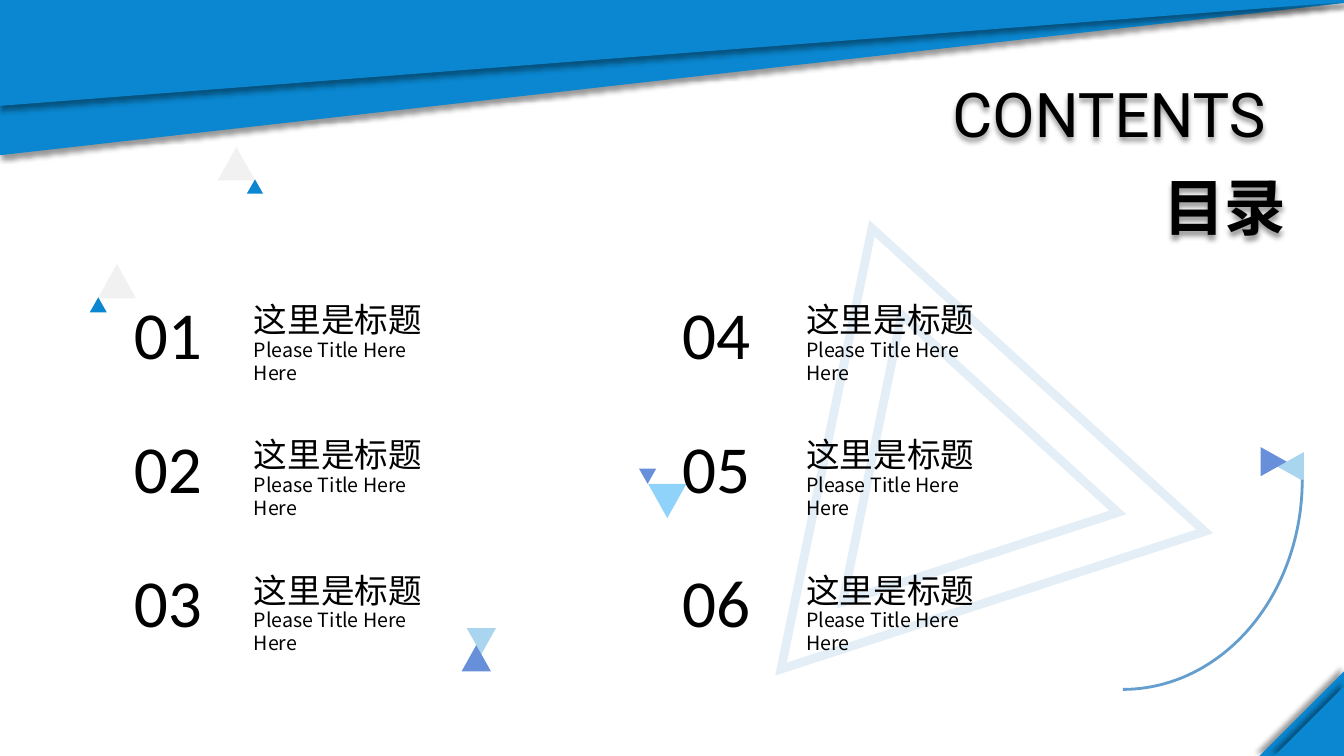
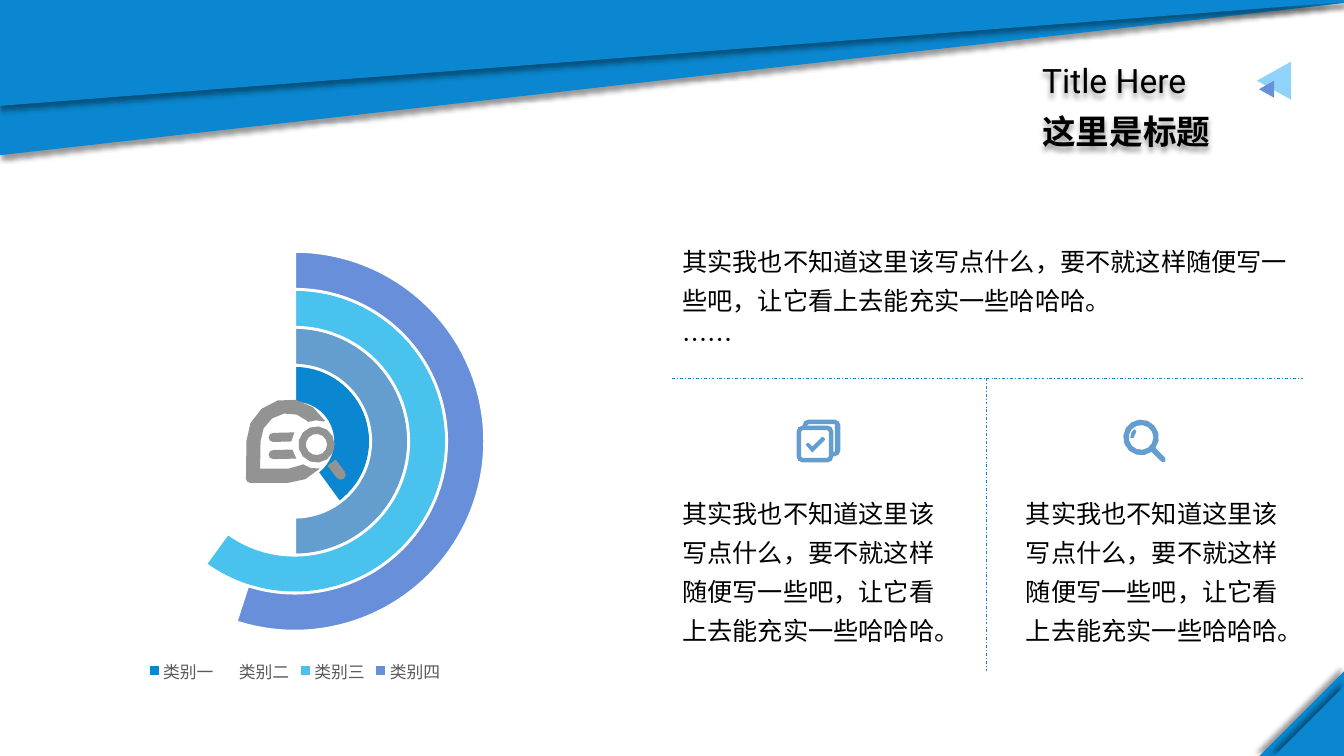
from math import cos, radians, sin

from lxml.etree import SubElement
from pptx import Presentation
from pptx.chart.data import CategoryChartData
from pptx.dml.color import RGBColor
from pptx.enum.chart import XL_CHART_TYPE as ChartType, XL_LEGEND_POSITION as LegendPosition
from pptx.enum.dml import MSO_LINE as LineDash
from pptx.enum.shapes import MSO_CONNECTOR as Connector, MSO_SHAPE as ShapeKind
from pptx.enum.text import MSO_ANCHOR as Anchor, MSO_AUTO_SIZE as AutoSize, PP_ALIGN as Align
from pptx.oxml.ns import qn
from pptx.util import Inches, Pt

SLIDE_WIDTH, SLIDE_HEIGHT = 40 / 3, 7.5

BLUE = RGBColor(0x0A, 0x87, 0xD0)
STEEL = RGBColor(0x63, 0x9E, 0xCE)
CYAN = RGBColor(0x49, 0xC2, 0xED)
VIOLET = RGBColor(0x68, 0x8F, 0xD9)
SKY = RGBColor(0x90, 0xD3, 0xFA)
PALE = RGBColor(0xF1, 0xF1, 0xF1)
GRAY = RGBColor(0x93, 0x93, 0x93)
LEGEND_GRAY = RGBColor(0x59, 0x59, 0x59)
BLACK = RGBColor(0, 0, 0)
WHITE = RGBColor(0xFF, 0xFF, 0xFF)

CJK = "Noto Sans CJK SC"
ROBOTO = "Roboto"
BODY = "其实我也不知道这里该写点什么，要不就这样随便写一些吧，让它看上去能充实一些哈哈哈。"
HEADING = "这里是标题"


def inches(*lengths):
    return [Inches(length) for length in lengths]


def set_alpha(fill_parent, percent):
    color = fill_parent.find(".//" + qn("a:srgbClr"))
    SubElement(color, qn("a:alpha"), val=str(percent * 1000))


def cast_shadow(shape, direction):
    shape.shadow.inherit = False
    effects = shape.element.spPr.find(qn("a:effectLst"))
    shadow = SubElement(effects, qn("a:outerShdw"), blurRad=str(Pt(4)), dist=str(Pt(3)),
                        dir=str(direction * 60000), algn="ctr", rotWithShape="0")
    color = SubElement(shadow, qn("a:srgbClr"), val="000000")
    SubElement(color, qn("a:alpha"), val="40000")


def add_filled(slide, kind, box, color, rotation=0, alpha=None):
    shape = slide.shapes.add_shape(kind, *inches(*box))
    shape.rotation = rotation
    shape.shadow.inherit = False
    shape.fill.solid()
    shape.fill.fore_color.rgb = color
    shape.line.fill.background()
    if alpha:
        set_alpha(shape.element.spPr.find(qn("a:solidFill")), alpha)
    return shape


def add_outline(slide, kind, box, width, rotation=0):
    shape = slide.shapes.add_shape(kind, *inches(*box))
    shape.rotation = rotation
    shape.shadow.inherit = False
    shape.fill.background()
    shape.line.color.rgb = STEEL
    shape.line.width = Pt(width)
    return shape


def write(shape, texts, size, font, bold=False, align=Align.LEFT, spacing=None):
    frame = shape.text_frame
    frame.word_wrap = True
    frame.auto_size = AutoSize.NONE
    frame.vertical_anchor = Anchor.TOP
    for index, text in enumerate(texts):
        paragraph = frame.add_paragraph() if index else frame.paragraphs[0]
        paragraph.alignment = align
        if spacing:
            paragraph.line_spacing = spacing
        run = paragraph.add_run()
        run.text = text
        run.font.size = Pt(size)
        run.font.bold = bold
        run.font.color.rgb = BLACK
        run.font.name = font
        SubElement(run.font._element, qn("a:ea"), typeface=font)


def add_text(slide, box, texts, size, font, **style):
    shape = slide.shapes.add_textbox(*inches(*box))
    write(shape, texts, size, font, **style)
    return shape


def add_titles(slide, english_box, english, chinese_box, chinese, size):
    label = add_text(slide, english_box, [english], size, ROBOTO)
    cast_shadow(label, 90)
    title = slide.shapes.title
    title.left, title.top, title.width, title.height = inches(*chinese_box)
    write(title, [chinese], size, CJK, bold=True, align=Align.JUSTIFY)
    cast_shadow(title, 90)


def add_bands(slide):
    span = 13.6
    for height in (1.54, 1.05):
        offset = (span - height) / 2
        band = add_filled(slide, ShapeKind.RIGHT_TRIANGLE, (offset, -offset, height, span), BLUE, 90)
        cast_shadow(band, 90)
    for side in (0.84, 0.69):
        corner = add_filled(slide, ShapeKind.RIGHT_TRIANGLE,
                            (SLIDE_WIDTH - side, SLIDE_HEIGHT - side, side, side), BLUE, 270)
        cast_shadow(corner, 225)


def add_triangles(slide, triangles):
    for box, color, rotation, alpha in triangles:
        add_filled(slide, ShapeKind.ISOSCELES_TRIANGLE, box, color, rotation, alpha)


def add_contents_entry(slide, left, label_left, row, number):
    label_top = 2.92 + row * 1.34
    add_text(slide, (left, 2.85 + row * 1.33, 1.2, 0.91), [f"{number:02d}"], 48, "Calibri")
    add_text(slide, (label_left, label_top, 1.88, 0.5), [HEADING], 24, CJK)
    add_text(slide, (label_left, label_top + 0.38, 1.8, 0.34), ["Please Title Here Here"], 14, CJK)


def add_contents_ornaments(slide):
    for box in ((7.9, 3.06, 2.87, 2.53), (7.04, 2.17, 4.42, 3.88)):
        triangle = add_outline(slide, ShapeKind.ISOSCELES_TRIANGLE, box, 6.25, 342)
        line = triangle.element.spPr.find(qn("a:ln"))
        set_alpha(line, 16)
        SubElement(line, qn("a:miter"), lim="800000")
    add_triangles(slide, [
        ((4.63, 6.23, 0.29, 0.26), BLUE, 180, 35),
        ((4.58, 6.4, 0.29, 0.26), VIOLET, 0, None),
        ((2.16, 1.46, 0.37, 0.33), PALE, 0, None),
        ((2.45, 1.78, 0.16, 0.14), BLUE, 0, None),
        ((0.97, 2.62, 0.38, 0.34), PALE, 0, None),
        ((0.89, 2.95, 0.17, 0.15), BLUE, 0, None),
        ((12.66, 4.5, 0.29, 0.26), BLUE, 270, 35),
        ((12.49, 4.45, 0.29, 0.26), VIOLET, 90, None),
        ((6.43, 4.8, 0.38, 0.34), SKY, 180, None),
        ((6.34, 4.65, 0.17, 0.15), VIOLET, 180, None),
    ])
    curve = add_outline(slide, ShapeKind.ARC, (9.36, 2.68, 3.56, 4.16), 2)
    curve.adjustments[0] = 0
    curve.adjustments[1] = 54


def arc(x, y, radius, start, end):
    stride = 90 if radius < 0.03 else 45 if radius < 0.09 else 27
    steps = max(1, round(abs(end - start) / stride))
    angles = [radians(start + (end - start) * step / steps) for step in range(steps + 1)]
    return [(x + radius * cos(angle), y + radius * sin(angle)) for angle in angles]


def circle(x, y, radius):
    return arc(x, y, radius, 0, 360)[:-1]


def rounded_square(left, top, side, radius):
    near, far = radius, side - radius
    corners = ((near, near, 180), (far, near, 270), (far, far, 0), (near, far, 90))
    return [point for x, y, start in corners
            for point in arc(left + x, top + y, radius, start, start + 90)]


def add_icon(slide, left, top, contours, color, outline=None):
    placed = [[(Inches(left + x), Inches(top + y)) for x, y in contour] for contour in contours]
    builder = slide.shapes.build_freeform(*placed[0][0], scale=1.0)
    for index, contour in enumerate(placed):
        if index:
            builder.move_to(*contour[0])
        builder.add_line_segments(contour[1:], close=True)
    icon = builder.convert_to_shape()
    icon.shadow.inherit = False
    icon.fill.solid()
    icon.fill.fore_color.rgb = color
    if outline:
        icon.line.color.rgb = color
        icon.line.width = Pt(outline)
    else:
        icon.line.fill.background()


def add_checklist_icon(slide, left, top):
    back = ([(0.34, 0.35), (0.34, 0.32), (0.37, 0.32), (0.38, 0.31)]
            + arc(0.37, 0.04, 0.01, 0, -90) + arc(0.11, 0.05, 0.02, -90, -180)
            + [(0.09, 0.07), (0.06, 0.07)] + arc(0.11, 0.05, 0.05, 180, 270)
            + arc(0.37, 0.05, 0.05, -90, 0) + arc(0.37, 0.3, 0.05, 0, 90))
    check = [(0.09, 0.24), (0.11, 0.23), (0.15, 0.27), (0.25, 0.17), (0.27, 0.19), (0.15, 0.31)]
    contours = [back, rounded_square(0, 0.06, 0.35, 0.05), rounded_square(0.03, 0.09, 0.29, 0.02), check]
    add_icon(slide, left, top, contours, STEEL, 1)


def add_search_icon(slide, left, top):
    center = (0.17, 0.17)
    body = arc(*center, 0.17, 38, -308) + arc(0.39, 0.39, 0.02, 135, -45)
    glint = arc(*center, 0.1, 180, 228) + arc(*center, 0.08, 228, 180)
    add_icon(slide, left, top, [body, circle(*center, 0.13), glint], STEEL, 1)


def add_bubble_icon(slide, left, top):
    center, lens = (0.42, 0.415), (0.7, 0.45)
    bubble = (arc(*center, 0.415, -29, -180) + arc(0.04, 0.79, 0.04, 180, 90)
              + arc(*center, 0.415, 90, 42) + arc(*lens, 0.24, 83, 126)
              + arc(*center, 0.275, 59, 90) + [(0.14, 0.69)]
              + arc(*center, 0.275, 180, 315) + arc(*lens, 0.24, 248, 289))
    upper_bar = arc(0.27, 0.38, 0.045, 90, 270) + [(0.48, 0.33), (0.45, 0.42)]
    lower_bar = arc(0.27, 0.55, 0.045, 90, 270) + [(0.46, 0.5), (0.5, 0.59)]
    handle = [(0.89, 0.6), (0.81, 0.66)] + arc(0.94, 0.75, 0.05, 143, -37)
    contours = [bubble, upper_bar, lower_bar, circle(*lens, 0.18), circle(*lens, 0.105), handle]
    add_icon(slide, left, top, contours, GRAY)


def add_ring_chart(slide, box):
    data = CategoryChartData()
    data.categories = ["类别一", "类别二", "类别三", "类别四"]
    rings = [((40, 60, 0, 0), BLUE), ((50, 50, None, None), STEEL),
             ((60, 40, None, None), CYAN), ((55, 45, None, None), VIOLET)]
    for number, (values, color) in enumerate(rings, 1):
        data.add_series(f"Series {number}", values)
    chart = slide.shapes.add_chart(ChartType.DOUGHNUT, *inches(*box), data).chart
    chart.has_title = False
    chart.font.size = Pt(10)
    chart.font.name = CJK
    chart.font.color.rgb = BLACK
    chart.has_legend = True
    legend = chart.legend
    legend.position = LegendPosition.BOTTOM
    legend.include_in_layout = False
    legend.font.size = Pt(12)
    legend.font.name = CJK
    legend.font.color.rgb = LEGEND_GRAY
    plot = chart.plots[0]
    plot.vary_by_categories = True
    for series, (values, color) in zip(plot.series, rings):
        for index, point_color in enumerate((color, None, CYAN, VIOLET)):
            point_format = series.points[index].format
            if point_color is None:
                point_format.fill.background()
                point_format.line.fill.background()
                continue
            point_format.fill.solid()
            point_format.fill.fore_color.rgb = point_color
            point_format.line.color.rgb = WHITE
            point_format.line.width = Pt(2)
    area = chart.element.find(".//" + qn("c:plotArea"))
    layout = area.find(qn("c:layout"))
    if layout is None:
        layout = SubElement(area, qn("c:layout"))
        area.insert(0, layout)
    manual = SubElement(layout, qn("c:manualLayout"))
    settings = {"layoutTarget": "inner", "xMode": "edge", "yMode": "edge",
                "x": 0.22, "y": 0.03, "w": 0.56, "h": 0.85}
    for name, value in settings.items():
        SubElement(manual, qn("c:" + name), val=str(value))


def add_divider(slide, start, end):
    line = slide.shapes.add_connector(Connector.STRAIGHT, *inches(*start, *end))
    line.line.color.rgb = BLUE
    line.line.width = Pt(0.5)
    line.line.dash_style = LineDash.DASH_DOT
    SubElement(line.element.spPr, qn("a:effectLst"))


def add_explanations(slide, left, top):
    add_text(slide, (left, top, 6.25, 1.25), [BODY, "……"], 18, CJK, spacing=1.3)
    for offset in (0, 3.41):
        add_text(slide, (left + offset, top + 2.5, 2.85, 1.65), [BODY], 18, CJK, spacing=1.3)
    add_checklist_icon(slide, left + 1.24, top + 1.87)
    add_search_icon(slide, left + 4.48, top + 1.87)
    add_divider(slide, (left, top + 1.45), (left + 6.26, top + 1.45))
    add_divider(slide, (left + 3.12, top + 1.45), (left + 3.12, top + 4.36))


def build_contents(slide):
    add_contents_ornaments(slide)
    add_bands(slide)
    add_titles(slide, (9.35, 0.7, 3.69, 0.84), "CONTENTS", (11.44, 1.63, 1.59, 0.84), "目录", 44)
    for column, (left, label_left) in enumerate(((1.23, 2.42), (6.67, 7.9))):
        for row in range(3):
            add_contents_entry(slide, left, label_left, row, column * 3 + row + 1)


def build_chart_slide(slide):
    add_bands(slide)
    add_titles(slide, (10.24, 0.55, 2.25, 0.5), "Title Here", (10.24, 1.05, 2.67, 0.5), HEADING, 24)
    add_triangles(slide, [((12.45, 0.63, 0.38, 0.34), SKY, 270, None),
                          ((12.48, 0.81, 0.17, 0.15), VIOLET, 270, None)])
    add_explanations(slide, 6.67, 2.3)
    add_ring_chart(slide, (-0.44, 2.34, 6.73, 4.48))
    add_bubble_icon(slide, 2.44, 3.96)


def main():
    presentation = Presentation()
    presentation.slide_width, presentation.slide_height = inches(SLIDE_WIDTH, SLIDE_HEIGHT)
    for build in (build_contents, build_chart_slide):
        build(presentation.slides.add_slide(presentation.slide_layouts[5]))
    presentation.save("out.pptx")


if __name__ == "__main__":
    main()
